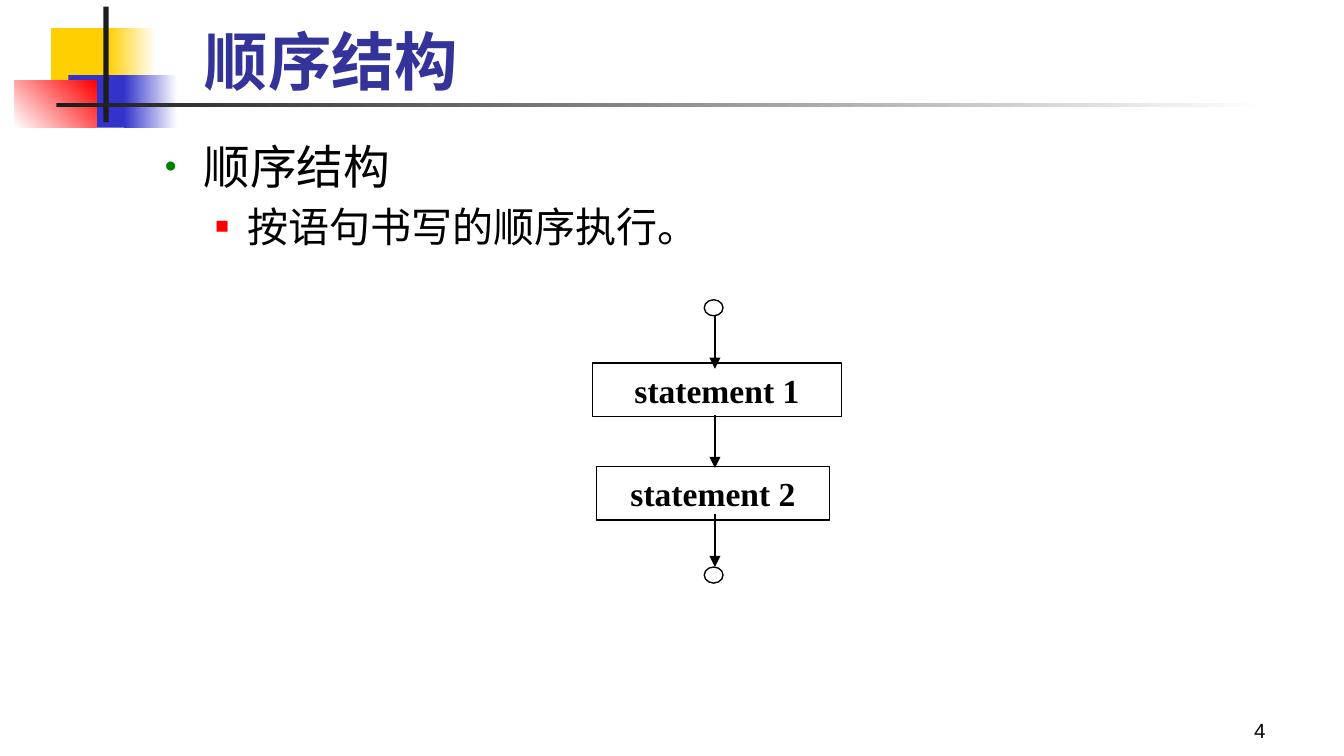
from lxml import etree
from pptx import Presentation
from pptx.dml.color import RGBColor
from pptx.enum.shapes import MSO_CONNECTOR as CONN, MSO_SHAPE as SHAPE
from pptx.enum.text import MSO_ANCHOR as ANCHOR, MSO_AUTO_SIZE as AUTO, PP_ALIGN as ALIGN
from pptx.oxml.ns import qn
from pptx.util import Pt

COLORS = {
    "yellow": "FFCF01", "blue": "3333CC", "red": "FF0000", "dark": "1C1C1C",
    "white": "FFFFFF", "black": "000000", "title": "333399", "green": "008000",
}
TITLE = "顺序结构"
BULLETS = [
    dict(text="顺序结构", size=25, level=0, margin=20.9, hang=20.9,
         char="●", color="green", pct=45, before=0),
    dict(text="按语句书写的顺序执行。", size=22, level=1, margin=44.6, hang=17.3,
         char="■", color="red", pct=55, before=4.4),
]
PAGE = "4"
DECOR = [
    ((27.4, 15.1, 34.6, 28.1), ["yellow"], 0),
    ((57.6, 15.1, 25.9, 28.1), ["yellow", "white"], 0),
    ((36.7, 40.3, 33.1, 28.1), ["blue"], 0),
    ((66.2, 40.3, 28.8, 28.1), ["blue", "white"], 0),
    ((7.9, 43.2, 43.9, 25.2), ["white", "red"], 45),
    ((55.4, 3.6, 2.9, 61.9), ["dark"], 0),
    ((30.2, 55.4, 648, 2.2), ["dark", "white"], 0),
]
STATEMENTS = [
    ("statement 1", (317.5, 194.4, 133.2, 28.8)),
    ("statement 2", (319.7, 249.8, 124.6, 28.8)),
]
AXIS, ARROW_TOP, ARROW_STEP, ARROW_LEN = 383, 169.2, 53.1, 28.4
CIRCLE_TOPS = [160.6, 303.8]


def rgb(name):
    return RGBColor.from_string(COLORS[name])


def write(p, text, font="Lato", size=18, color="black", bold=False, align=ALIGN.LEFT):
    p.alignment = align
    r = p.add_run()
    r.text = text
    r.font.size, r.font.bold, r.font.name = Pt(size), bold, font
    r.font.color.rgb = rgb(color)
    etree.SubElement(r.font._element, qn("a:ea"), typeface=font)


def place(sp, box):
    sp.left, sp.top, sp.width, sp.height = map(Pt, box)


def frame(sp, anchor):
    tf = sp.text_frame
    tf.word_wrap, tf.auto_size, tf.vertical_anchor = True, AUTO.NONE, anchor
    tf.margin_left = tf.margin_right = Pt(6)
    tf.margin_top = tf.margin_bottom = Pt(3)
    return tf


def bullet(p, item):
    pPr = p._p.get_or_add_pPr()
    pPr.set("marL", str(Pt(item["margin"])))
    pPr.set("indent", str(-Pt(item["hang"])))
    clr = etree.SubElement(pPr, qn("a:buClr"))
    etree.SubElement(clr, qn("a:srgbClr"), val=COLORS[item["color"]])
    etree.SubElement(pPr, qn("a:buSzPct"), val=str(item["pct"] * 1000))
    etree.SubElement(pPr, qn("a:buChar"), char=item["char"])


def outline(s, kind, box):
    sp = s.shapes.add_shape(kind, *map(Pt, box))
    sp.shadow.inherit = False
    sp.fill.background()
    sp.line.color.rgb = rgb("black")
    sp.line.width = Pt(0.75)
    return sp


def decorate(s, box, colors, angle):
    sp = s.shapes.add_shape(SHAPE.RECTANGLE, *map(Pt, box))
    sp.shadow.inherit = False
    sp.line.fill.background()
    if len(colors) == 1:
        sp.fill.solid()
        sp.fill.fore_color.rgb = rgb(colors[0])
    else:
        sp.fill.gradient()
        sp.fill.gradient_angle = angle
        for stop, color in zip(sp.fill.gradient_stops, colors):
            stop.color.rgb = rgb(color)


def arrow(s, top):
    sp = s.shapes.add_connector(CONN.STRAIGHT, Pt(AXIS), Pt(top), Pt(AXIS), Pt(top + ARROW_LEN))
    sp.line.color.rgb = rgb("black")
    sp.line.width = Pt(0.75)
    etree.SubElement(sp.line._get_or_add_ln(), qn("a:tailEnd"), type="triangle")
    etree.SubElement(sp._element.spPr, qn("a:effectLst"))


def main():
    prs = Presentation()
    prs.slide_width, prs.slide_height = Pt(720), Pt(405)
    s = prs.slides.add_slide(prs.slide_layouts[1])

    for box, colors, angle in DECOR:
        decorate(s, box, colors, angle)

    title, body = s.placeholders
    place(title, (103.7, -12.2, 613.4, 67.7))
    write(frame(title, ANCHOR.BOTTOM).paragraphs[0], TITLE, size=34, color="title", bold=True)

    place(body, (82.1, 70.6, 612, 243.4))
    tf = frame(body, ANCHOR.TOP)
    for i, item in enumerate(BULLETS):
        p = tf.add_paragraph() if i else tf.paragraphs[0]
        p.level = item["level"]
        p.space_before = Pt(item["before"])
        bullet(p, item)
        write(p, item["text"], size=item["size"])

    number = s.shapes.add_textbox(*map(Pt, (534.2, 373.7, 149.8, 27.4)))
    write(frame(number, ANCHOR.BOTTOM).paragraphs[0], PAGE, font="Arial", size=11, align=ALIGN.RIGHT)

    for text, box in STATEMENTS:
        sp = outline(s, SHAPE.RECTANGLE, box)
        write(frame(sp, ANCHOR.MIDDLE).paragraphs[0], text, font="Times New Roman",
              bold=True, align=ALIGN.CENTER)
    for i in range(3):
        arrow(s, ARROW_TOP + i * ARROW_STEP)
    for top in CIRCLE_TOPS:
        outline(s, SHAPE.OVAL, (377.3, top, 10.1, 8.6))

    prs.save("out.pptx")


if __name__ == "__main__":
    main()
